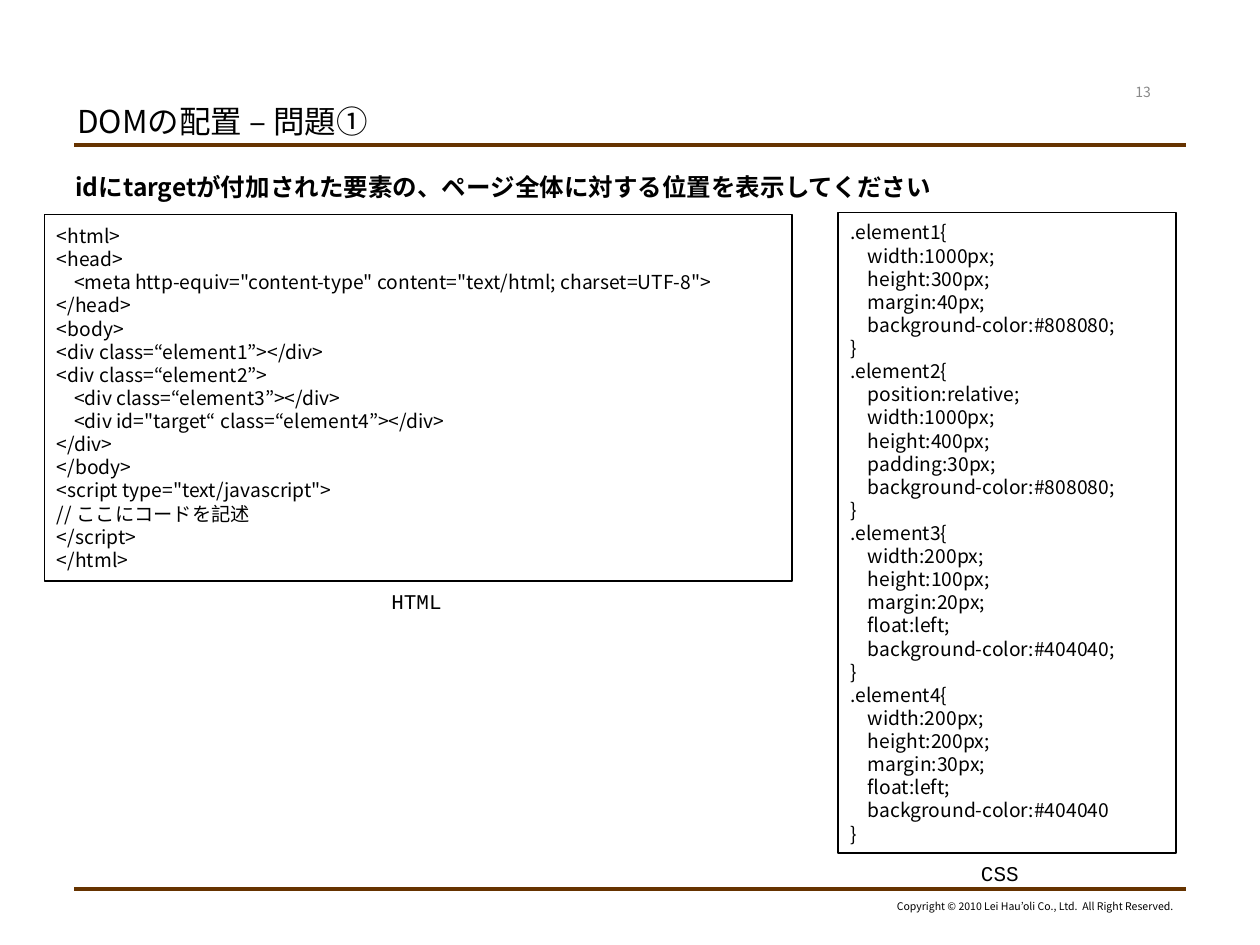
from dataclasses import dataclass

import pptx
import pptx.dml.color
import pptx.enum.shapes
import pptx.enum.text
import pptx.oxml.ns
import pptx.util
from lxml import etree

Pt = pptx.util.Pt
RGBColor = pptx.dml.color.RGBColor
ALIGN = pptx.enum.text.PP_ALIGN
ANCHOR = pptx.enum.text.MSO_ANCHOR

BLACK = RGBColor(0x00, 0x00, 0x00)
BROWN = RGBColor(0x66, 0x33, 0x00)
GRAY = RGBColor(0x89, 0x89, 0x89)
SANS = "Noto Sans CJK JP"
MONO = "Courier New"

HTML = """<html>
<head>
    <meta http-equiv="content-type" content="text/html; charset=UTF-8">
</head>
<body>
<div class=“element1”></div>
<div class=“element2”>
    <div class=“element3”></div>
    <div id="target“ class=“element4”></div>
</div>
</body>
<script type="text/javascript">
// ここにコードを記述
</script>
</html>"""

CSS = """.element1{
    width:1000px;
    height:300px;
    margin:40px;
    background-color:#808080;
}
.element2{
    position:relative;
    width:1000px;
    height:400px;
    padding:30px;
    background-color:#808080;
}
.element3{
    width:200px;
    height:100px;
    margin:20px;
    float:left;
    background-color:#404040;
}
.element4{
    width:200px;
    height:200px;
    margin:30px;
    float:left;
    background-color:#404040
}"""


@dataclass
class Box:
    left: float
    top: float
    width: float
    height: float

    def emu(self) -> list:
        return [Pt(v) for v in (self.left, self.top, self.width, self.height)]


@dataclass
class Listing:
    code: str
    box: Box
    label: str
    label_box: Box


def set_text(sp, text: str, *, size: float, font: str = SANS,
             color: RGBColor = BLACK, bold: bool = False, align=ALIGN.LEFT,
             anchor=ANCHOR.TOP, wrap: bool = True) -> None:
    """Write one paragraph per line of text, all in the same format."""
    tf = sp.text_frame
    tf.word_wrap = wrap
    tf.vertical_anchor = anchor
    for i, line in enumerate(text.split("\n")):
        p = tf.paragraphs[0] if i == 0 else tf.add_paragraph()
        p.alignment = align
        if font == SANS:
            p.line_spacing = Pt(size * 1.2)
        r = p.add_run()
        r.text = line
        r.font.size = Pt(size)
        r.font.name = font
        r.font.bold = bold
        r.font.color.rgb = color
        # East Asian typeface for the Japanese characters
        ea = etree.SubElement(r.font._element, pptx.oxml.ns.qn("a:ea"))
        ea.set("typeface", font)


def add_text(s, box: Box, text: str, **fmt) -> None:
    set_text(s.shapes.add_textbox(*box.emu()), text, **fmt)


def add_rule(s, y: float) -> None:
    sp = s.shapes.add_connector(pptx.enum.shapes.MSO_CONNECTOR.STRAIGHT,
                                Pt(42.5), Pt(y), Pt(677.5), Pt(y))
    sp.line.color.rgb = BROWN
    sp.line.width = Pt(2.25)
    etree.SubElement(sp._element.spPr, pptx.oxml.ns.qn("a:effectLst"))


def add_listing(s, item: Listing) -> None:
    sp = s.shapes.add_shape(pptx.enum.shapes.MSO_SHAPE.RECTANGLE, *item.box.emu())
    sp.shadow.inherit = False
    sp.fill.background()
    sp.line.color.rgb = BLACK
    sp.line.width = Pt(1)
    set_text(sp, item.code, size=11, anchor=ANCHOR.MIDDLE)
    add_text(s, item.label_box, item.label, size=12, font=MONO, wrap=False)


def main() -> None:
    prs = pptx.Presentation()
    prs.slide_width, prs.slide_height = Pt(720), Pt(540)
    s = prs.slides.add_slide(prs.slide_layouts[6])

    # Frame: rules and copyright line
    for y in (83, 508):
        add_rule(s, y)
    add_text(s, Box(503.5, 510.5, 174, 14.5),
             "Copyright © 2010 Lei Hau’oli Co., Ltd.  All Right Reserved.",
             size=6, align=ALIGN.RIGHT, wrap=False)

    # Title, page number and task
    add_text(s, Box(37, 55, 409, 28), "DOMの配置 – 問題①",
             size=18, anchor=ANCHOR.MIDDLE)
    add_text(s, Box(632, 44, 42.5, 17), "13", size=8, color=GRAY,
             align=ALIGN.CENTER, anchor=ANCHOR.MIDDLE)
    add_text(s, Box(36, 94.5, 648, 402.5),
             "idにtargetが付加された要素の、ページ全体に対する位置を表示してください",
             size=14, bold=True)

    # Code listings with their labels
    for item in (
        Listing(HTML, Box(25.5, 122.5, 427, 209.5),
                "HTML", Box(216.5, 332.5, 43.5, 21.5)),
        Listing(CSS, Box(479, 121.5, 193, 366),
                "CSS", Box(553.5, 488, 36, 21.5)),
    ):
        add_listing(s, item)

    prs.save("out.pptx")


if __name__ == "__main__":
    main()
